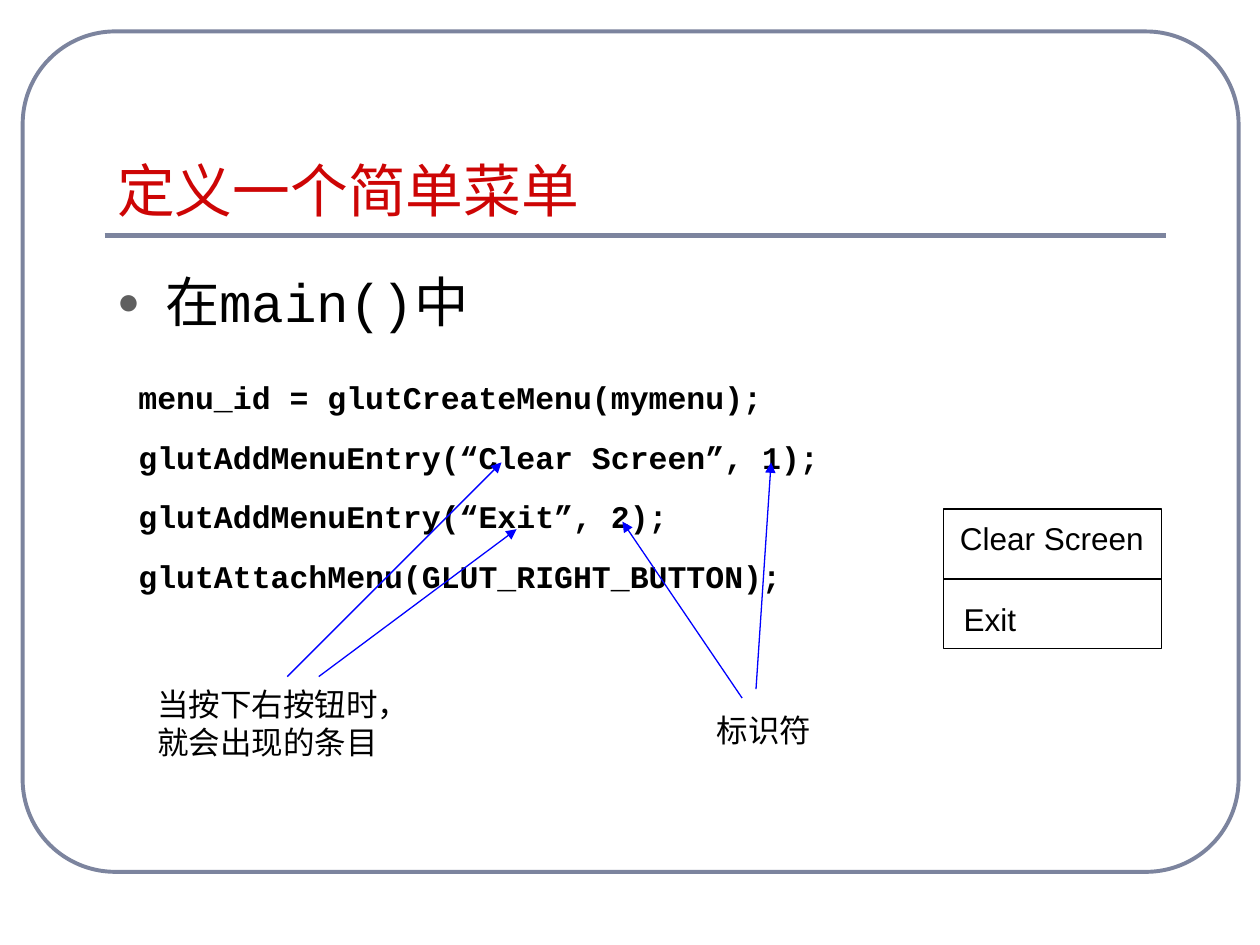
"""Slide that shows how a simple GLUT menu is defined."""
from dataclasses import dataclass

from lxml import etree
from pptx import Presentation
from pptx.dml.color import RGBColor
from pptx.enum.shapes import MSO_CONNECTOR, MSO_SHAPE
from pptx.enum.text import MSO_ANCHOR, MSO_AUTO_SIZE, PP_ALIGN
from pptx.oxml.ns import qn
from pptx.util import Inches, Pt

ROUNDED, RECTANGLE = MSO_SHAPE.ROUNDED_RECTANGLE, MSO_SHAPE.RECTANGLE
STRAIGHT = MSO_CONNECTOR.STRAIGHT
TOP, BOTTOM = MSO_ANCHOR.TOP, MSO_ANCHOR.BOTTOM
LEFT = PP_ALIGN.LEFT
NO_FIT = MSO_AUTO_SIZE.NONE
LEFT_SIDE, RIGHT_SIDE = 1, 3


@dataclass(frozen=True)
class Theme:
    frame: str = "7C849E"
    title: str = "CD0505"
    ink: str = "000000"
    paper: str = "FFFFFF"
    arrow: str = "0000FF"
    bullet: str = "5F5F5F"
    title_font: str = "Montserrat"
    text_font: str = "Arial"
    code_font: str = "Courier New"
    title_size: float = 33
    body_size: float = 31
    small_size: float = 18
    code_gap: float = 12.4


THEME = Theme()
WIDTH, HEIGHT = Inches(10), Inches(7.5)

TITLE = "定义一个简单菜单"
BODY = [("在", THEME.text_font), ("main()", THEME.code_font), ("中", THEME.text_font)]
CODE = [
    "menu_id = glutCreateMenu(mymenu);",
    "glutAddMenuEntry(“Clear Screen”, 1);",
    "glutAddMenuEntry(“Exit”, 2);",
    "glutAttachMenu(GLUT_RIGHT_BUTTON);",
]
MENU_ITEMS = [
    ("Clear Screen", (75.2, 54.27, 16.6, 5.33)),
    ("Exit", (75.5, 62.8, 6.1, 5.33)),
]
NOTES = [
    ("当按下右按钮时，就会出现的条目", (11.5, 71.87, 23, 9.33), True),
    ("标识符", (55.9, 74.53, 9.5, 5.33), False),
]
ARROWS = [
    ((22.8, 71.6), (39.8, 48.93)),
    ((25.3, 71.6), (41, 56)),
    ((60, 72.93), (61.2, 48.93)),
    ((58.9, 73.87), (49.4, 55.2)),
]
FRAME_BOX = (1.8, 3.33, 96.5, 88.93)
RULE_ENDS = (8.3, 24.93), (92.5, 24.93)
TITLE_BOX = (8.3, 7.73, 86.4, 16.67)
BODY_BOX = (8.3, 27.73, 84.2, 58.93)
CODE_BOX = (10, 39.4, 59, 23.6)
MENU_BOX = (74.9, 53.87, 17.3, 14.8)


def place(*percents):
    """Turn alternating percentages of slide width and height into lengths."""
    return [round((HEIGHT if i % 2 else WIDTH) * p / 100) for i, p in enumerate(percents)]


def rgb(color):
    return RGBColor.from_string(color)


def add_run(paragraph, text, font, size, color, bold=False):
    run = paragraph.add_run()
    run.text = text
    run.font.name = font
    run.font.size = Pt(size)
    run.font.bold = bold
    run.font.color.rgb = rgb(color)


def add_text(slide, lines, box, font=THEME.text_font, bold=False, wrap=True, gap=0):
    frame = slide.shapes.add_textbox(*place(*box)).text_frame
    frame.word_wrap = wrap
    frame.auto_size = NO_FIT
    for i, line in enumerate(lines):
        paragraph = frame.add_paragraph() if i else frame.paragraphs[0]
        paragraph.space_before = Pt(gap if i else 0)
        add_run(paragraph, line, font, THEME.small_size, THEME.ink, bold)


def add_outline(slide, kind, box, color, weight):
    outline = slide.shapes.add_shape(kind, *place(*box))
    outline.shadow.inherit = False
    outline.fill.background()
    outline.line.color.rgb = rgb(color)
    outline.line.width = Pt(weight)
    return outline


def add_line(slide, start, end, color, weight, arrow=False):
    line = slide.shapes.add_connector(STRAIGHT, *place(*start, *end))
    line.line.color.rgb = rgb(color)
    line.line.width = Pt(weight)
    if arrow:
        etree.SubElement(line.line._get_or_add_ln(), qn("a:tailEnd"), type="triangle")
    etree.SubElement(line.element.spPr, qn("a:effectLst"))
    return line


def set_up_placeholder(holder, box, anchor):
    holder.left, holder.top, holder.width, holder.height = place(*box)
    frame = holder.text_frame
    frame.word_wrap = True
    frame.auto_size = NO_FIT
    frame.vertical_anchor = anchor
    paragraph = frame.paragraphs[0]
    paragraph.alignment = LEFT
    paragraph.space_before = Pt(0)
    return paragraph


def add_bullet(paragraph):
    properties = paragraph._p.get_or_add_pPr()
    properties.set("marL", str(Inches(0.38)))
    properties.set("indent", str(-Inches(0.38)))
    color = etree.SubElement(properties, qn("a:buClr"))
    etree.SubElement(color, qn("a:srgbClr"), val=THEME.bullet)
    etree.SubElement(properties, qn("a:buSzPct"), val="70000")
    etree.SubElement(properties, qn("a:buFont"), typeface=THEME.text_font)
    etree.SubElement(properties, qn("a:buChar"), char="●")


def main():
    deck = Presentation()
    deck.slide_width, deck.slide_height = WIDTH, HEIGHT
    slide = deck.slides.add_slide(deck.slide_layouts[1])
    title, body = slide.placeholders

    border = add_outline(slide, ROUNDED, FRAME_BOX, THEME.frame, 2.25)
    border.adjustments[0] = 0.11
    rule = add_line(slide, *RULE_ENDS, THEME.frame, 3)
    for backdrop in (border, rule):
        title.element.addprevious(backdrop.element)

    title.fill.solid()
    title.fill.fore_color.rgb = rgb(THEME.paper)
    heading = set_up_placeholder(title, TITLE_BOX, BOTTOM)
    add_run(heading, TITLE, THEME.title_font, THEME.title_size, THEME.title)

    point = set_up_placeholder(body, BODY_BOX, TOP)
    add_bullet(point)
    for text, font in BODY:
        add_run(point, text, font, THEME.body_size, THEME.ink)

    add_text(slide, CODE, CODE_BOX, THEME.code_font, bold=True, gap=THEME.code_gap)

    menu = add_outline(slide, RECTANGLE, MENU_BOX, THEME.ink, 0.75)
    divider = add_line(slide, (0, 0), (0, 0), THEME.ink, 0.75)
    divider.begin_connect(menu, LEFT_SIDE)
    divider.end_connect(menu, RIGHT_SIDE)
    for item, box in MENU_ITEMS:
        add_text(slide, [item], box, wrap=False)

    for start, end in ARROWS:
        add_line(slide, start, end, THEME.arrow, 0.75, arrow=True)
    for note, box, wrap in NOTES:
        add_text(slide, [note], box, wrap=wrap)

    deck.save("out.pptx")


if __name__ == "__main__":
    main()
